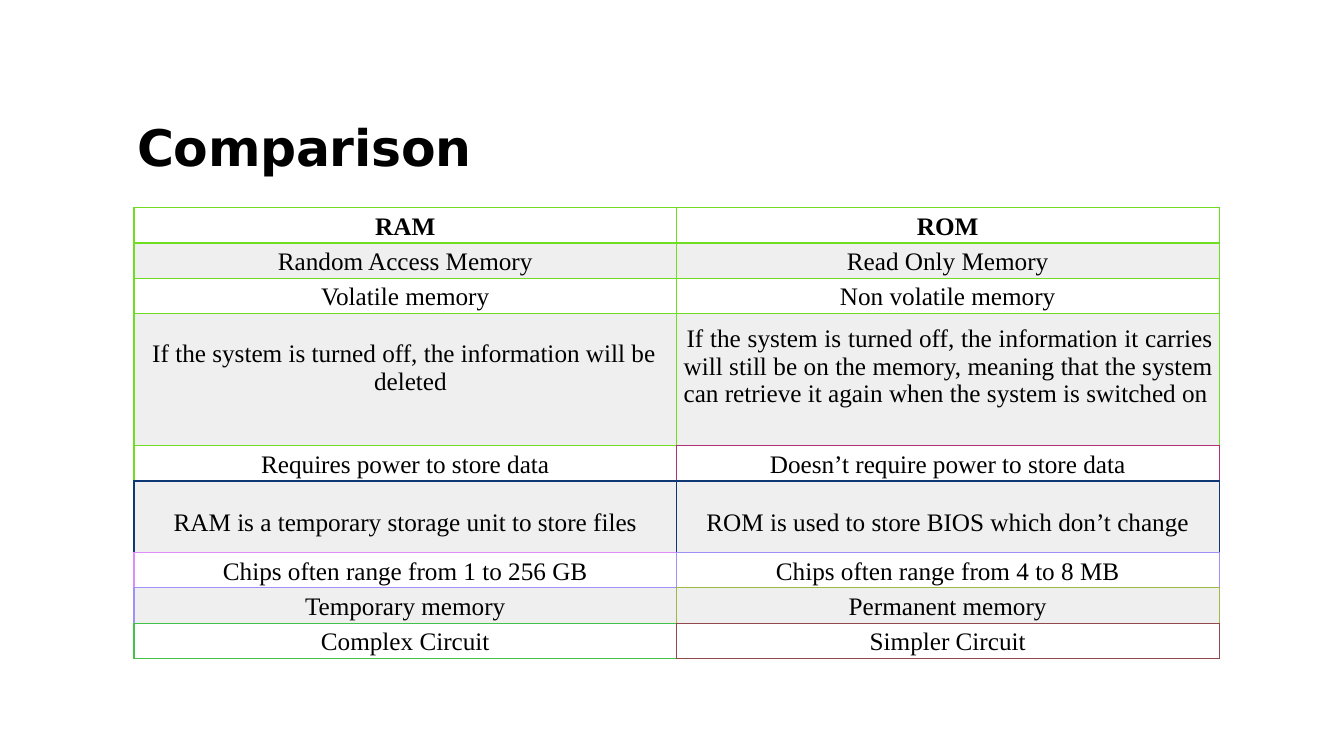
import pptx
import pptx.util
import pptx.dml.color
import pptx.enum.text
import pptx.oxml
import pptx.oxml.ns

Inches = pptx.util.Inches
ALIGN = pptx.enum.text.PP_ALIGN

COLORS = {
    "text": "000000", "white": "FFFFFF", "band": "EFEFEF",
    "green": "6FDE23", "magenta": "AF3074", "navy": "0F3774",
    "pink": "DF8DFA", "violet": "9F90FA", "olive": "9FB846",
    "emerald": "40C346", "maroon": "90494F",
}

# Each row: RAM text, ROM text, RAM border, ROM border, height
ROWS = [
    ("RAM", "ROM", "green", "green", 0.35),
    ("Random Access Memory", "Read Only Memory", "green", "green", 0.35),
    ("Volatile memory", "Non volatile memory", "green", "green", 0.35),
    ("If the system is turned off, the information will be deleted",
     "If the system is turned off, the information it carries will still be on "
     "the memory, meaning that the system can retrieve it again when the system "
     "is switched on", "green", "green", 1.31),
    ("Requires power to store data", "Doesn’t require power to store data",
     "green", "magenta", 0.35),
    ("RAM is a temporary storage unit to store files",
     "ROM is used to store BIOS which don’t change", "navy", "navy", 0.71),
    ("Chips often range from 1 to 256 GB", "Chips often range from 4 to 8 MB",
     "pink", "violet", 0.35),
    ("Temporary memory", "Permanent memory", "violet", "olive", 0.35),
    ("Complex Circuit", "Simpler Circuit", "emerald", "maroon", 0.35),
]
COLUMN_WIDTH = 5.38

# Cells that differ from centred text: margins are left, top, right
DEFAULT_LAYOUT = {"margins": (0, 0.05, 0)}
LAYOUTS = {
    (3, 0): {"margins": (0, 0.26, 0), "align": ALIGN.LEFT, "indent": (2.38, -2.2)},
    (3, 1): {"margins": (0, 0.11, 0.06), "align": ALIGN.JUSTIFY, "indent": (0.07, 0.03)},
    (5, 0): {"margins": (0, 0.28, 0)},
    (5, 1): {"margins": (0, 0.28, 0)},
}


def write_text(frame, text, font="Times New Roman", size=18, bold=False,
               align=ALIGN.CENTER, indent=None, margins=(0, 0, 0), spacing=None):
    frame.word_wrap = True
    paragraph = frame.paragraphs[0]
    paragraph.alignment = align
    if indent:
        properties = paragraph._p.get_or_add_pPr()
        properties.set("marL", str(Inches(indent[0])))
        properties.set("indent", str(Inches(indent[1])))
    run = paragraph.add_run()
    run.text = text
    run.font.name = font
    run.font.size = pptx.util.Pt(size)
    run.font.bold = bold
    run.font.color.rgb = pptx.dml.color.RGBColor.from_string(COLORS["text"])
    if spacing is not None:
        run._r.get_or_add_rPr().set("spc", str(spacing))
    frame_margins = [Inches(margin) for margin in margins]
    return frame_margins


def set_margins(holder, margins):
    holder.margin_left, holder.margin_top, holder.margin_right = margins
    holder.margin_bottom = 0


def add_border(cell, side, color, width):
    cell._tc.get_or_add_tcPr().append(pptx.oxml.parse_xml(
        f'<a:ln{side} {pptx.oxml.ns.nsdecls("a")} w="{pptx.util.Pt(width)}">'
        f'<a:solidFill><a:srgbClr val="{COLORS[color]}"/></a:solidFill>'
        f'<a:prstDash val="solid"/></a:ln{side}>'))


presentation = pptx.Presentation()
presentation.slide_width = Inches(13.33)
presentation.slide_height = Inches(7.5)
slide = presentation.slides.add_slide(presentation.slide_layouts[6])

# Title
title = slide.shapes.add_textbox(Inches(1.35), Inches(1.13), Inches(5.75), Inches(0.62))
title.text_frame.vertical_anchor = pptx.enum.text.MSO_ANCHOR.BOTTOM
set_margins(title.text_frame, write_text(
    title.text_frame, "Comparison", font="DejaVu Sans", size=36, bold=True,
    align=ALIGN.LEFT, margins=(0.01, 0.01, 0), spacing=-20))

# Comparison table
table = slide.shapes.add_table(
    len(ROWS), 2, Inches(1.33), Inches(2.06), Inches(2 * COLUMN_WIDTH),
    Inches(sum(row[4] for row in ROWS))).table
table.first_row = False
table.horz_banding = False
for column in table.columns:
    column.width = Inches(COLUMN_WIDTH)

for row_index, row in enumerate(ROWS):
    table.rows[row_index].height = Inches(row[4])
    for column_index in range(2):
        cell = table.cell(row_index, column_index)
        layout = LAYOUTS.get((row_index, column_index), DEFAULT_LAYOUT)
        set_margins(cell, write_text(
            cell.text_frame, row[column_index], bold=row_index == 0, **layout))

        # A cell owns its left and top edges; neighbours own the other two
        own = row[2 + column_index]
        last_row = row_index == len(ROWS) - 1
        below = own if last_row else ROWS[row_index + 1][2 + column_index]
        add_border(cell, "L", own, 1)
        add_border(cell, "R", row[3], 0.75 if column_index else 1)
        add_border(cell, "T", own, 1)
        add_border(cell, "B", below, 0.75 if last_row else 1)
        cell.fill.solid()
        cell.fill.fore_color.rgb = pptx.dml.color.RGBColor.from_string(
            COLORS["band" if row_index % 2 else "white"])

presentation.save("out.pptx")
